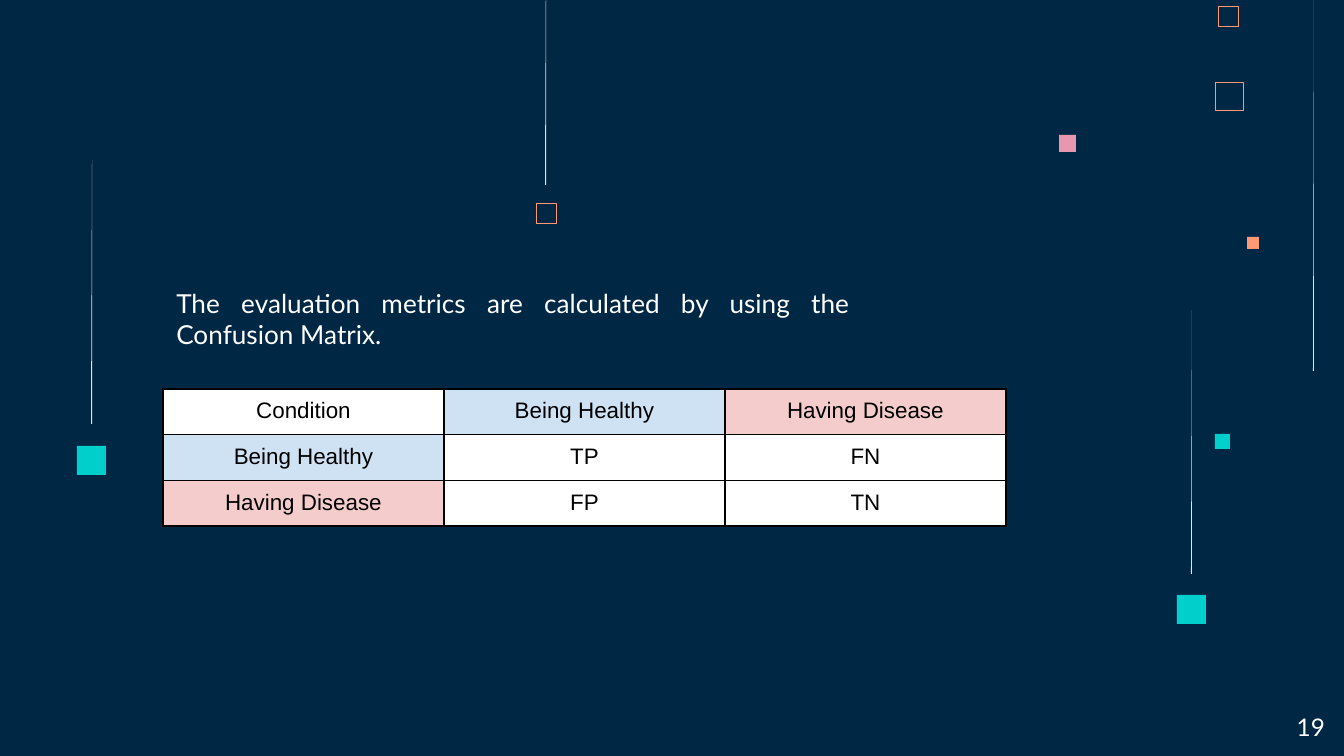
from lxml import etree
from pptx import Presentation, util as u
from pptx.dml.color import RGBColor
from pptx.enum import shapes, text
from pptx.oxml import ns

PX = u.Inches(1) / 134.4
COLORS = {
    "navy": "002845", "teal": "00CFCC", "pink": "E898AC", "orange": "FF9973",
    "blush": "FFD6E1", "white": "FFFFFF", "black": "000000",
    "healthy": "CFE2F3", "disease": "F4CCCC",
}


def px(length):
    return u.Emu(round(length * PX))


def rgb(name):
    return RGBColor.from_string(COLORS[name])


class Deck:
    """Holds the style and the current slide."""

    def __init__(self, width, height):
        self.prs = Presentation()
        self.prs.slide_width, self.prs.slide_height = px(width), px(height)
        self.slide = self.prs.slides.add_slide(self.prs.slide_layouts[6])
        background = self.slide.background.fill
        background.solid()
        background.fore_color.rgb = rgb("navy")

    def paint(self, shape, color):
        shape.shadow.inherit = False
        shape.fill.solid()
        shape.fill.fore_color.rgb = rgb(color)
        shape.line.fill.background()

    def square(self, left, top, side, color, outline=None):
        """Draw a filled square, or an empty one when outline points are given."""
        square = self.slide.shapes.add_shape(
            shapes.MSO_SHAPE.RECTANGLE, px(left), px(top), px(side), px(side))
        self.paint(square, color)
        if outline:
            square.fill.background()
            square.line.color.rgb = rgb(color)
            square.line.width = u.Pt(outline)

    def streak(self, x, top, bottom):
        """Draw a sliver that widens downwards."""
        builder = self.slide.shapes.build_freeform(x, top, PX)
        builder.add_line_segments([(x - 1, bottom), (x, bottom)], close=True)
        self.paint(builder.convert_to_shape(), "blush")

    def format_text(self, paragraph, words, font, size, color, align):
        paragraph.text = words
        paragraph.alignment = align
        paragraph.font.name = font
        paragraph.font.size = u.Pt(size)
        paragraph.font.color.rgb = rgb(color)

    def label(self, box, words, size, align, anchor):
        frame = self.slide.shapes.add_textbox(*map(px, box)).text_frame
        frame.word_wrap = True
        frame.vertical_anchor = anchor
        frame.margin_left = frame.margin_right = u.Inches(0.1)
        frame.margin_top = frame.margin_bottom = u.Inches(0.1)
        self.format_text(frame.paragraphs[0], words, "Lato", size, "white", align)

    def border(self, cell):
        properties = cell._tc.get_or_add_tcPr()
        for order, side in enumerate(("lnL", "lnR", "lnT", "lnB")):
            line = etree.Element(ns.qn(f"a:{side}"), w=str(u.Pt(1)))
            fill = etree.SubElement(line, ns.qn("a:solidFill"))
            etree.SubElement(fill, ns.qn("a:srgbClr"), val=COLORS["black"])
            properties.insert(order, line)

    def matrix(self, left, top, column_width, row_height, rows, fills):
        """Draw a table whose heading cells are filled according to their words."""
        count = len(rows[0])
        table = self.slide.shapes.add_table(
            len(rows), count, px(left), px(top),
            px(count * column_width), px(len(rows) * row_height)).table
        table.first_row = table.horz_banding = False
        for column in table.columns:
            column.width = px(column_width)
        for row, words_in_row in zip(table.rows, rows):
            row.height = px(row_height)
            for cell, words in zip(row.cells, words_in_row):
                cell.margin_left = cell.margin_right = u.Inches(0.07)
                cell.margin_top = cell.margin_bottom = u.Inches(0.07)
                cell.fill.solid()
                cell.fill.fore_color.rgb = rgb(fills.get(words, "white"))
                self.format_text(cell.text_frame.paragraphs[0], words, "Arial",
                                 12, "black", text.PP_ALIGN.CENTER)
                self.border(cell)


def main():
    deck = Deck(1344, 756)

    # Scattered squares
    for left, top, side, color in [
            (1059, 135, 17, "pink"), (1215, 434, 15, "teal"),
            (1247, 237, 12, "orange"), (1177, 595, 29, "teal"),
            (77, 446, 29, "teal")]:
        deck.square(left, top, side, color)
    for left, top, side, outline in [
            (1215, 82, 28, 0.45), (1218, 6, 20, 0.32), (536, 203, 20, 0.32)]:
        deck.square(left, top, side, "orange", outline)

    # Falling streaks
    for x, top, bottom in [(546, -64, 185), (1314, 0, 371),
                           (1192, 310, 574), (92, 160, 424)]:
        deck.streak(x, top, bottom)

    # Introduction
    deck.label((163, 274, 700, 87),
               "The evaluation metrics are calculated by using the Confusion Matrix.",
               14, text.PP_ALIGN.JUSTIFY, text.MSO_ANCHOR.TOP)

    # Confusion matrix
    healthy, disease = "Being Healthy", "Having Disease"
    deck.matrix(163, 389, 281, 44,
                [("Condition", healthy, disease),
                 (healthy, "TP", "FN"),
                 (disease, "FP", "TN")],
                {healthy: "healthy", disease: "disease"})

    # Page number
    deck.label((1258, 698, 80, 58), "19", 13,
               text.PP_ALIGN.RIGHT, text.MSO_ANCHOR.MIDDLE)

    deck.prs.save("out.pptx")


if __name__ == "__main__":
    main()
